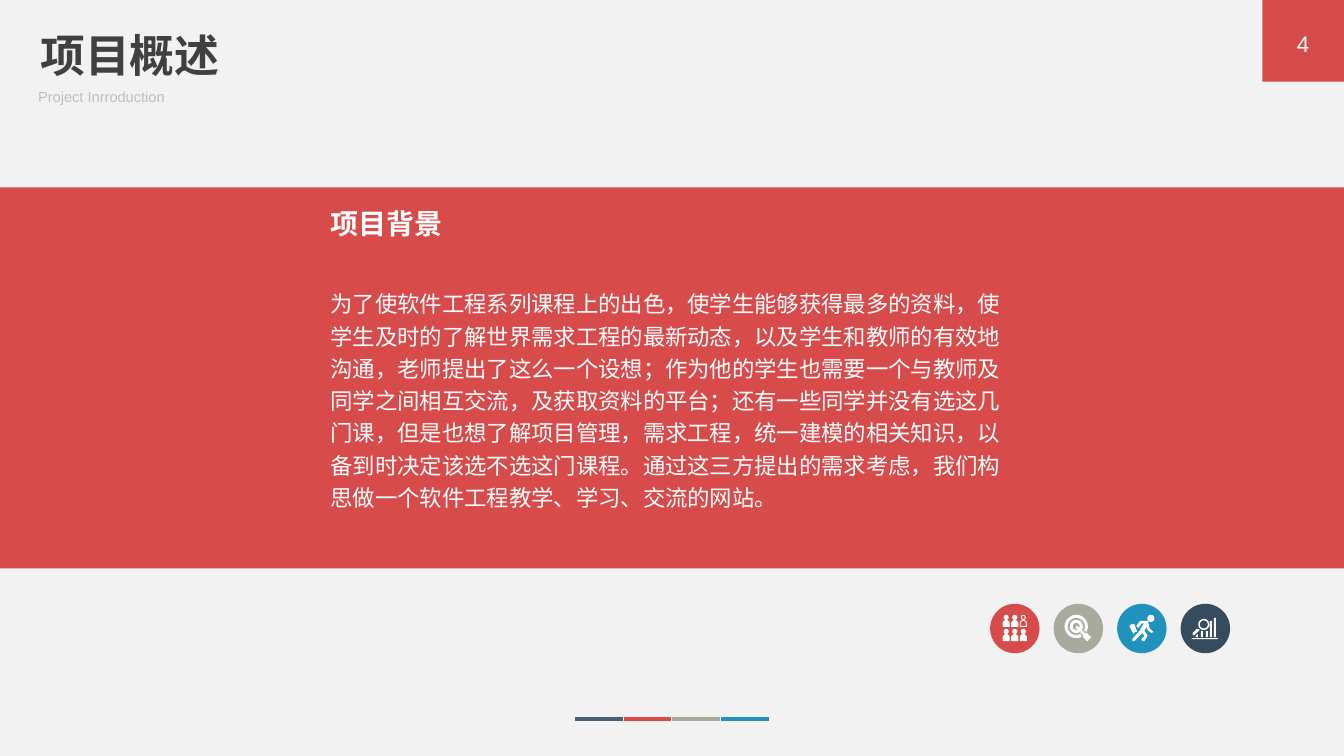
from math import cos, radians, sin

from lxml.etree import SubElement
from pptx import Presentation
from pptx.dml.color import RGBColor
from pptx.enum.shapes import MSO_CONNECTOR, MSO_SHAPE
from pptx.enum.text import MSO_ANCHOR, PP_ALIGN
from pptx.oxml.ns import qn
from pptx.util import Inches, Pt

RED = RGBColor(0xD7, 0x4B, 0x4B)
SLATE = RGBColor(0x47, 0x5F, 0x77)
NAVY = RGBColor(0x35, 0x4B, 0x5E)
STONE = RGBColor(0xA7, 0xAA, 0x9D)
BLUE = RGBColor(0x21, 0x92, 0xBC)
WHITE = RGBColor(0xFF, 0xFF, 0xFF)
PAPER = RGBColor(0xF2, 0xF2, 0xF2)
CHARCOAL = RGBColor(0x40, 0x40, 0x40)
SILVER = RGBColor(0xBF, 0xBF, 0xBF)

LATIN = "Arial"
CHINESE = "Noto Sans CJK SC"

BACKGROUND = (
    "为了使软件工程系列课程上的出色，使学生能够获得最多的资料，使学生及时的了解世界需求工程的最新动态，"
    "以及学生和教师的有效地沟通，老师提出了这么一个设想；作为他的学生也需要一个与教师及同学之间相互交流，"
    "及获取资料的平台；还有一些同学并没有选这几门课，但是也想了解项目管理，需求工程，统一建模的相关知识，"
    "以备到时决定该选不选这门课程。通过这三方提出的需求考虑，我们构思做一个软件工程教学、学习、交流的网站。"
)


def paint(shape, color):
    shape.shadow.inherit = False
    shape.fill.solid()
    shape.fill.fore_color.rgb = color
    shape.line.fill.background()


def add_block(shapes, kind, left, top, width, height, color):
    block = shapes.add_shape(
        kind, Inches(left), Inches(top), Inches(width), Inches(height))
    paint(block, color)


def write(box, text, size, color, font=LATIN, bold=False,
          align=PP_ALIGN.LEFT, anchor=MSO_ANCHOR.TOP, spacing=1):
    frame = box.text_frame
    frame.text = text
    frame.word_wrap = True
    frame.vertical_anchor = anchor
    para = frame.paragraphs[0]
    para.alignment = align
    para.line_spacing = spacing
    para.space_before = Pt(0)
    span = para.runs[0]
    span.font.size = Pt(size)
    span.font.bold = bold
    span.font.color.rgb = color
    span.font.name = font
    SubElement(span.font._element, qn("a:ea"), typeface=CHINESE)


def add_text(page, left, top, width, height, text, size, color, **style):
    box = page.shapes.add_textbox(
        Inches(left), Inches(top), Inches(width), Inches(height))
    write(box, text, size, color, **style)


def add_header(page, left, top):
    title = page.shapes.title
    title.left, title.top = Inches(left), Inches(top)
    title.width, title.height = Inches(4.01), Inches(0.64)
    write(title, "项目概述", 32, CHARCOAL, font=CHINESE, bold=True)
    add_text(page, left - 0.02, top + 0.6, 7.89, 0.29,
             "Project Inrroduction", 10.5, SILVER)


def add_page_number(page, left, top, side):
    add_block(page.shapes, MSO_SHAPE.RECTANGLE, left, top, side, side, RED)
    add_text(page, left, top + 0.23, side, 0.4, "4", 16, WHITE,
             align=PP_ALIGN.CENTER, anchor=MSO_ANCHOR.MIDDLE)


def add_background_band(page, left, top, width, height):
    add_block(page.shapes, MSO_SHAPE.RECTANGLE, left, top, width, height, RED)
    add_text(page, left + 3.18, top + 0.14, 3.79, 0.44,
             "项目背景", 20, WHITE, font=CHINESE, bold=True)
    add_text(page, left + 3.18, top + 0.92, 6.98, 3.11,
             BACKGROUND, 16, WHITE, spacing=1.2)


def add_color_strip(page, left, top, width):
    colors = [SLATE, RED, STONE, BLUE]
    pitch = width / len(colors)
    for index, color in enumerate(colors):
        start = left + index * pitch
        dash = page.shapes.add_connector(
            MSO_CONNECTOR.STRAIGHT, Inches(start), Inches(top),
            Inches(start + pitch - 0.01), Inches(top))
        dash.line.color.rgb = color
        dash.line.width = Pt(3)
        SubElement(dash._element.spPr, qn("a:effectLst"))


def arc(x, y, radius, start=0, end=360):
    angles = [radians(start + (end - start) * step / 32) for step in range(33)]
    return [(x + radius * cos(a), y + radius * sin(a)) for a in angles]


def ring(x, y, outer, inner, start, end):
    return arc(x, y, outer, start, end) + arc(x, y, inner, end, start)


def bar(left, top, right, bottom):
    return [(left, top), (right, top), (right, bottom), (left, bottom)]


def torso(x, top, half, bottom):
    return arc(x, top + half, half, 180, 360) + [(x + half, bottom), (x - half, bottom)]


def people_contours():
    contours = [arc(24.5, 13.5, 0)] * 0
    for y in (13.5, 27.5):
        for x in (16, 24.5, 33):
            contours += [arc(x, y, 2.5), torso(x, y + 2.6, 3.5, y + 9.5)]
    return contours + [arc(33, 13.5, 1.5), torso(33, 17, 2.6, 22)]


def target_contours():
    handle = [(22, 23), (23, 22), (24, 22), (31, 29), (33, 29), (37, 33),
              (37, 34), (35, 35), (34, 37), (33, 37), (29, 33), (29, 31), (22, 24)]
    return [ring(22.5, 22.5, 11.5, 8.5, 62, 388),
            ring(22.5, 22.5, 6.5, 3.5, 62, 388), handle]


def runner_contours():
    body = [(29, 17), (31, 17), (31, 19), (32, 24), (36, 28), (34, 29), (30, 26),
            (29, 23), (27, 27), (30, 31), (30, 32), (27, 37), (25, 37), (24, 35),
            (27, 32), (25, 29), (17, 37), (15, 37), (15, 35), (23, 26), (23, 25),
            (27, 19), (24, 20), (21, 24), (19, 22), (22, 18), (23, 17)]
    case = [(12, 22), (15, 20), (17, 20), (20, 28), (18, 28), (16, 30)]
    return [body, case, arc(33.5, 14.5, 3.5)]


def analysis_contours():
    bars = [bar(left, top, left + 2, 33)
            for left, top in [(20, 27), (25, 27), (29, 17), (33, 14)]]
    short_bar = [(17, 30), (17, 33), (15, 33), (15, 32)]
    handle = [(18, 25), (19, 26), (14, 31), (12, 31), (12, 29), (16, 25)]
    return bars + [bar(11, 34, 37, 35), short_bar, handle,
                   arc(23, 20.5, 5.5), arc(23, 20.5, 4)]


def add_icon(page, left, top, side, color, contours):
    icon = page.shapes.add_group_shape()
    add_block(icon.shapes, MSO_SHAPE.OVAL, left, top, side, side, color)
    scaled = [[(Inches(x / 100), Inches(y / 100)) for x, y in contour]
              for contour in contours]
    builder = icon.shapes.build_freeform(*scaled[0][0])
    for index, contour in enumerate(scaled):
        if index:
            builder.move_to(*contour[0])
        builder.add_line_segments(contour[1:], close=True)
    paint(builder.convert_to_shape(Inches(left), Inches(top)), WHITE)


def add_icon_row(page, left, top):
    icons = [(RED, people_contours()), (STONE, target_contours()),
             (BLUE, runner_contours()), (NAVY, analysis_contours())]
    for index, (color, contours) in enumerate(icons):
        add_icon(page, left + index * 0.63, top, 0.49, color, contours)


def main():
    deck = Presentation()
    deck.slide_width, deck.slide_height = Inches(13.33), Inches(7.5)
    page = deck.slides.add_slide(deck.slide_layouts[5])
    page.background.fill.solid()
    page.background.fill.fore_color.rgb = PAPER
    add_header(page, 0.3, 0.22)
    add_page_number(page, 12.52, 0, 0.81)
    add_background_band(page, 0, 1.86, 13.33, 3.78)
    add_color_strip(page, 5.7, 7.13, 1.94)
    add_icon_row(page, 9.82, 5.99)
    deck.save("out.pptx")


if __name__ == "__main__":
    main()
